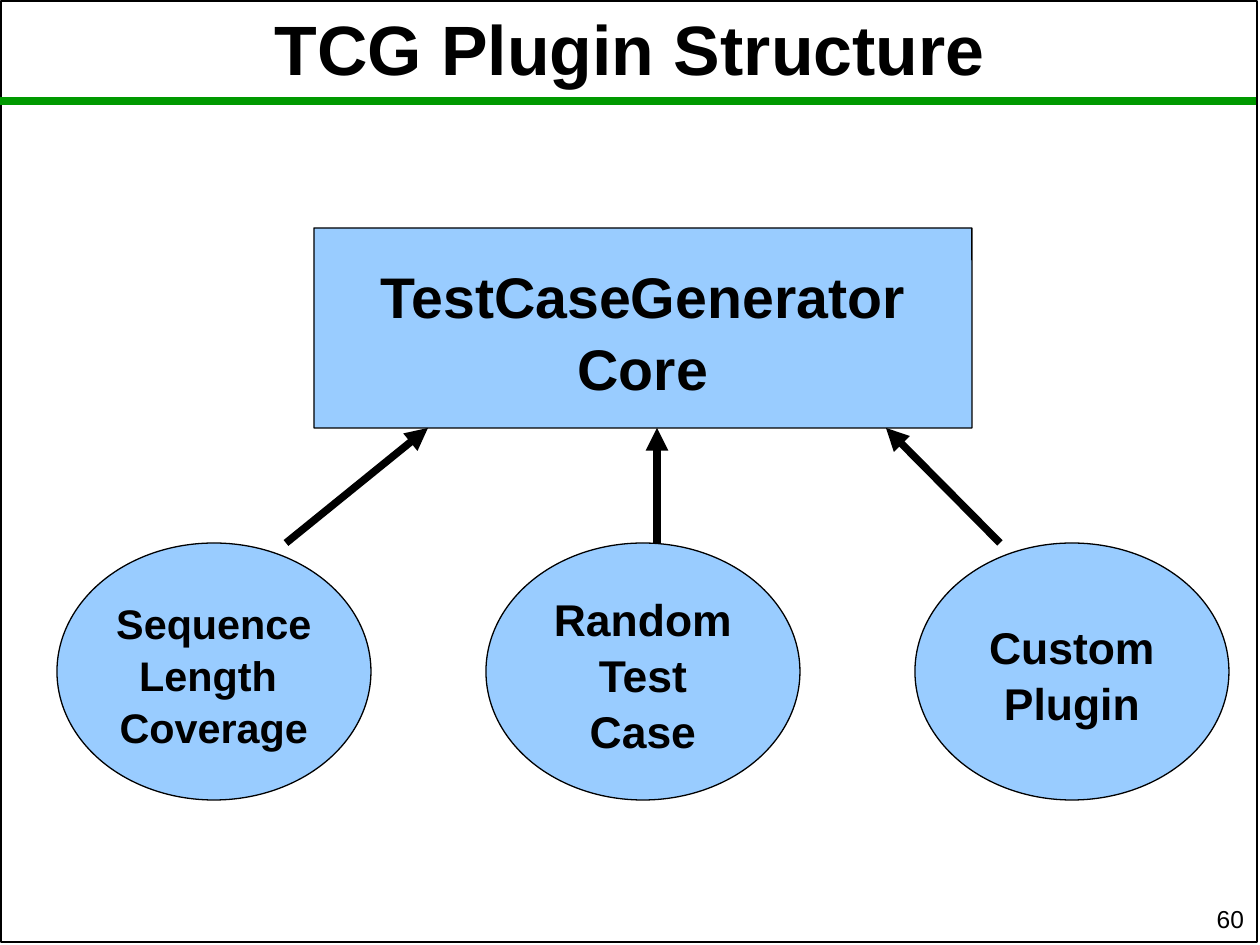
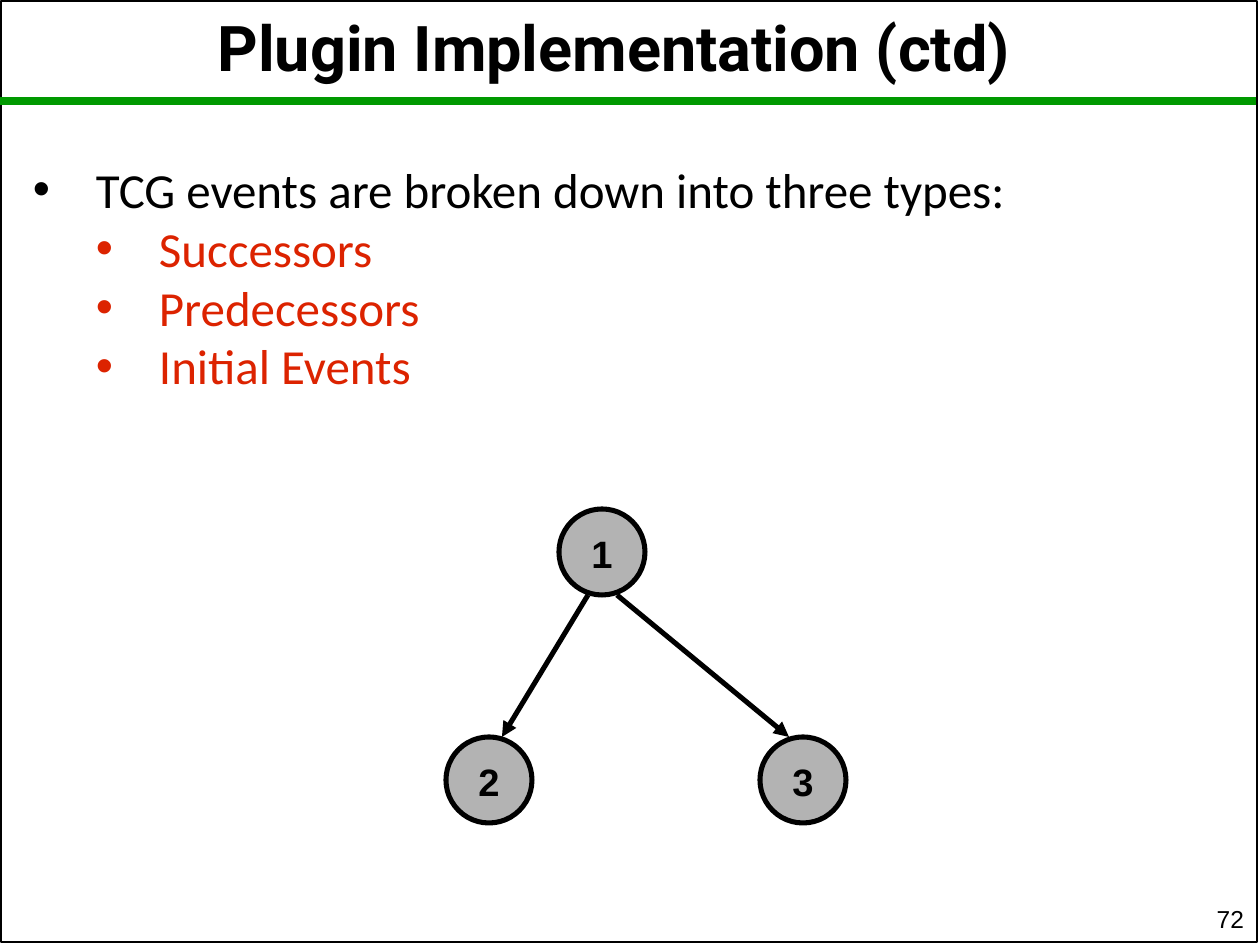
"""Build two slides on the structure and implementation of test case generator plugins."""
from lxml import etree
from pptx import Presentation
from pptx.dml.color import RGBColor
from pptx.enum.shapes import MSO_CONNECTOR, MSO_SHAPE
from pptx.enum.text import MSO_ANCHOR, PP_ALIGN
from pptx.oxml.ns import qn
from pptx.util import Emu, Pt

PX = 914400 / 126
COLORS = {"ink": "000000", "rule": "009900", "block": "99CCFF", "node": "B3B3B3", "accent": "DC2300"}
RECTANGLE, ROUNDED, OVAL = MSO_SHAPE.RECTANGLE, MSO_SHAPE.ROUNDED_RECTANGLE, MSO_SHAPE.OVAL
STRAIGHT = MSO_CONNECTOR.STRAIGHT
MIDDLE, BOTTOM = MSO_ANCHOR.MIDDLE, MSO_ANCHOR.BOTTOM
CENTER, RIGHT, JUSTIFY = PP_ALIGN.CENTER, PP_ALIGN.RIGHT, PP_ALIGN.JUSTIFY


def add_box(page, area, text, size, font="Arial", bold=True, align=CENTER, anchor=MIDDLE,
            insets=(0, 5, 0, 0), shape=None, fill=None, line_width=1, spacing=1.0):
    """Add a text box, or a preset shape if one is given, with its text."""
    place = [Emu(round(value * PX)) for value in area]
    if shape is None:
        box = page.shapes.add_textbox(*place)
    else:
        box = page.shapes.add_shape(shape, *place)
        box.shadow.inherit = False
        box.line.color.rgb = RGBColor.from_string(COLORS["ink"])
        box.line.width = Pt(line_width)
        if fill:
            box.fill.solid()
            box.fill.fore_color.rgb = RGBColor.from_string(COLORS[fill])
        else:
            box.fill.background()
    frame = box.text_frame
    frame.word_wrap = True
    frame.vertical_anchor = anchor
    frame.margin_left, frame.margin_top, frame.margin_right, frame.margin_bottom = [
        Emu(round(value * PX)) for value in insets]
    frame.text = text
    for para in frame.paragraphs:
        para.alignment = align
        para.line_spacing = spacing
        for span in para.runs:
            span.font.name = font
            span.font.size = Pt(size)
            span.font.bold = bold
            span.font.color.rgb = RGBColor.from_string(COLORS["ink"])
    return box


def add_line(page, start, end, width, color="ink", arrow=True):
    """Add a straight line, with an arrowhead at its end if wanted."""
    line = page.shapes.add_connector(STRAIGHT, *[Emu(round(value * PX)) for value in (*start, *end)])
    line.line.color.rgb = RGBColor.from_string(COLORS[color])
    line.line.width = Pt(width)
    if arrow:
        etree.SubElement(line.line._get_or_add_ln(), qn("a:tailEnd"), type="triangle")
    etree.SubElement(line._element.spPr, qn("a:effectLst"))


deck = Presentation()
deck.slide_width, deck.slide_height = Emu(round(1260 * PX)), Emu(round(945 * PX))

headers = [
    ("TCG Plugin Structure", (63, -28, 1134, 146), 39.9, "Arial", "60"),
    ("Plugin Implementation (ctd)", (33, 0, 1162, 88), 36, "Roboto", "72"),
]
for title, area, size, font, number in headers:
    page = deck.slides.add_slide(deck.slide_layouts[6])
    add_box(page, (1, 1, 1256, 941), "", 14, shape=RECTANGLE)
    add_line(page, (0, 101), (1256, 101), 4.5, "rule", arrow=False)
    add_box(page, area, title, size, font)
    add_box(page, (995, 906, 262, 33), number, 14, bold=False, align=RIGHT, anchor=BOTTOM,
            insets=(13, 6, 13, 6))
structure, implementation = deck.slides

core = add_box(structure, (314, 228, 658, 200), "TestCaseGenerator Core", 32.7, insets=(11, 10, 11, 5),
               shape=ROUNDED, fill="block", line_width=0.75, spacing=1.04)
core.adjustments[0] = 0.001

plugins = [
    ("Sequence\nLength \nCoverage", 23.6, 286, 428),
    ("Random\nTest Case", 25.4, 657, 657),
    ("Custom\nPlugin", 25.4, 1000, 886),
]
for index, (label, size, start_x, end_x) in enumerate(plugins):
    add_box(structure, (57 + 429 * index, 543, 314, 257), label, size, insets=(11, 9, 11, 5),
            shape=OVAL, fill="block", line_width=0.75, spacing=1.05)
    add_line(structure, (start_x, 543), (end_x, 428), 4.31)

events = add_box(
    implementation, (33, 122, 1179, 306),
    "TCG events are broken down into three types:\nSuccessors\nPredecessors\nInitial Events",
    28, "Calibri", bold=False, align=JUSTIFY, insets=(0, 4, 0, 0))
for index, para in enumerate(events.text_frame.paragraphs):
    para.level = min(index, 1)
    properties = para._p.get_or_add_pPr()
    properties.set("marL", str(round(63 * (para.level + 1) * PX)))
    properties.set("indent", str(round(-63 * PX)))
    etree.SubElement(properties, qn("a:buFont"), typeface="Arial")
    etree.SubElement(properties, qn("a:buChar"), char="•")
    if para.level:
        para.runs[0].font.color.rgb = RGBColor.from_string(COLORS["accent"])

for label, left, top in [("1", 559, 509), ("2", 446, 737), ("3", 760, 737)]:
    add_box(implementation, (left, top, 86, 86), label, 21.8, insets=(14, 10, 14, 8),
            shape=OVAL, fill="node", line_width=2.89)
for start_x, end_x in [(588, 502), (617, 789)]:
    add_line(implementation, (start_x, 595), (end_x, 737), 2.89)

deck.save("out.pptx")
